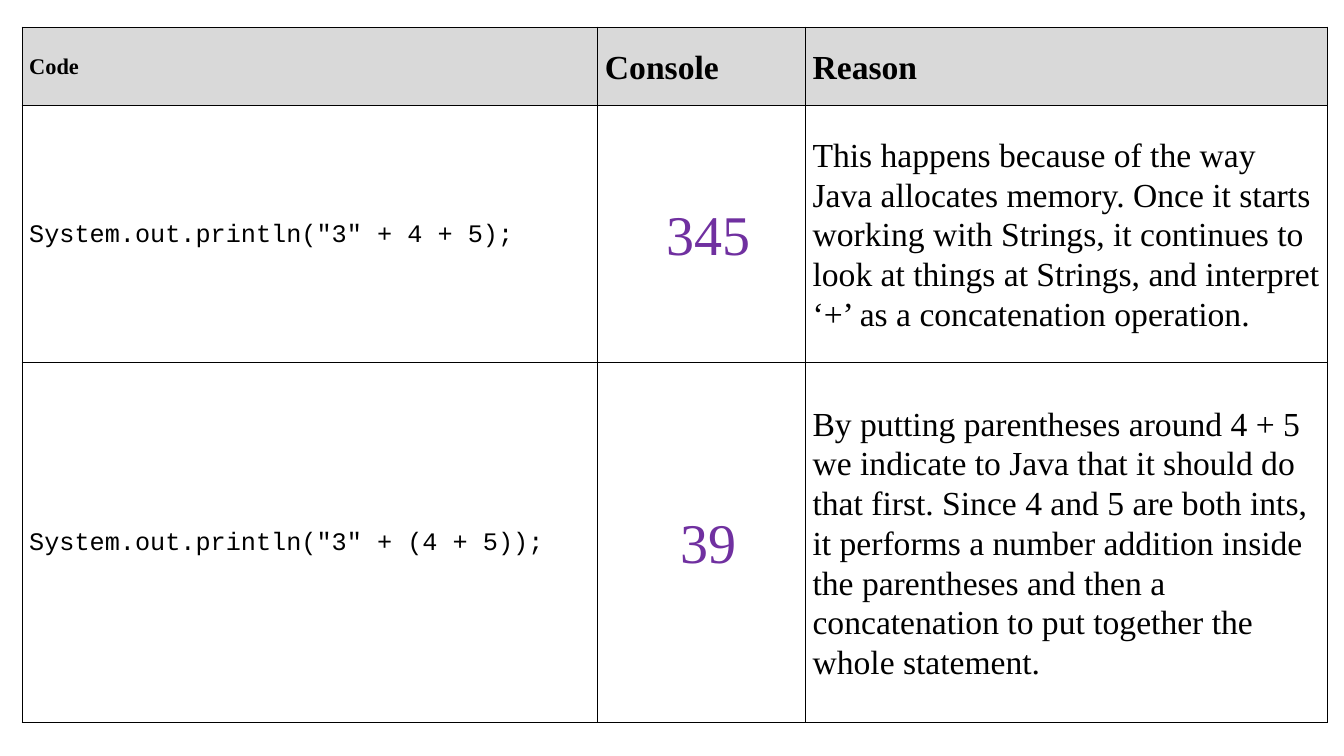
from lxml import etree
from pptx import Presentation
from pptx.dml.color import RGBColor
from pptx.enum import text
from pptx.oxml import ns
from pptx.util import Inches, Pt

# Content
HEADINGS = ("Code", "Console", "Reason")
EXAMPLES = [
    (
        'System.out.println("3" + 4 + 5);',
        " 345",
        "This happens because of the way Java allocates memory. Once it starts "
        "working with Strings, it continues to look at things at Strings, and "
        "interpret ‘+’ as a concatenation operation.",
    ),
    (
        'System.out.println("3" + (4 + 5));',
        " 39",
        "By putting parentheses around 4 + 5 we indicate to Java that it should "
        "do that first. Since 4 and 5 are both ints, it performs a number "
        "addition inside the parentheses and then a concatenation to put "
        "together the whole statement.",
    ),
]

# Look
BLACK = RGBColor(0x00, 0x00, 0x00)
PURPLE = RGBColor(0x70, 0x30, 0xA0)
GREY = RGBColor(0xD9, 0xD9, 0xD9)
SERIF, MONO = "Times New Roman", "Courier New"
LEFT, CENTER = text.PP_ALIGN.LEFT, text.PP_ALIGN.CENTER
HEADING_STYLES = [(SERIF, size, BLACK, LEFT) for size in (16, 24, 24)]
EXAMPLE_STYLES = [
    (MONO, 18, BLACK, LEFT),
    (SERIF, 40, PURPLE, CENTER),
    (SERIF, 24, BLACK, LEFT),
]
COLUMN_WIDTHS = (5.71, 2.06, 5.18)
ROW_HEIGHTS = (0.78, 2.55, 3.57)


def add_borders(cell):
    """Draw a thin black line on all four sides."""
    properties = cell._tc.get_or_add_tcPr()
    for index, side in enumerate(("lnL", "lnR", "lnT", "lnB")):
        line = etree.Element(ns.qn(f"a:{side}"), w=str(Pt(1)))
        fill = etree.SubElement(line, ns.qn("a:solidFill"))
        etree.SubElement(fill, ns.qn("a:srgbClr"), val=str(BLACK))
        properties.insert(index, line)


def fill_cell(cell, wording, style, heading):
    font_name, size, color, alignment = style
    cell.text = wording
    cell.vertical_anchor = text.MSO_ANCHOR.MIDDLE
    cell.margin_left = cell.margin_right = Inches(0.07)
    cell.margin_top = cell.margin_bottom = 0
    if heading:
        cell.fill.solid()
        cell.fill.fore_color.rgb = GREY
    else:
        cell.fill.background()
    add_borders(cell)

    paragraph = cell.text_frame.paragraphs[0]
    paragraph.alignment = alignment
    paragraph.line_spacing = 1.07
    paragraph.font.name = font_name
    paragraph.font.size = Pt(size)
    paragraph.font.bold = heading
    paragraph.font.color.rgb = color


def main():
    deck = Presentation()
    deck.slide_width, deck.slide_height = Inches(13.33), Inches(7.5)
    slide = deck.slides.add_slide(deck.slide_layouts[6])

    # Table grid
    rows = [HEADINGS, *EXAMPLES]
    comparison = slide.shapes.add_table(
        len(rows), len(HEADINGS), Inches(0.22), Inches(0.27),
        Inches(sum(COLUMN_WIDTHS)), Inches(sum(ROW_HEIGHTS)),
    ).table
    comparison.first_row = comparison.horz_banding = False
    for column, width in zip(comparison.columns, COLUMN_WIDTHS):
        column.width = Inches(width)
    for row, height in zip(comparison.rows, ROW_HEIGHTS):
        row.height = Inches(height)

    # Cells
    for r, wordings in enumerate(rows):
        styles = EXAMPLE_STYLES if r else HEADING_STYLES
        for c, (wording, style) in enumerate(zip(wordings, styles)):
            fill_cell(comparison.cell(r, c), wording, style, heading=r == 0)

    deck.save("out.pptx")


if __name__ == "__main__":
    main()
